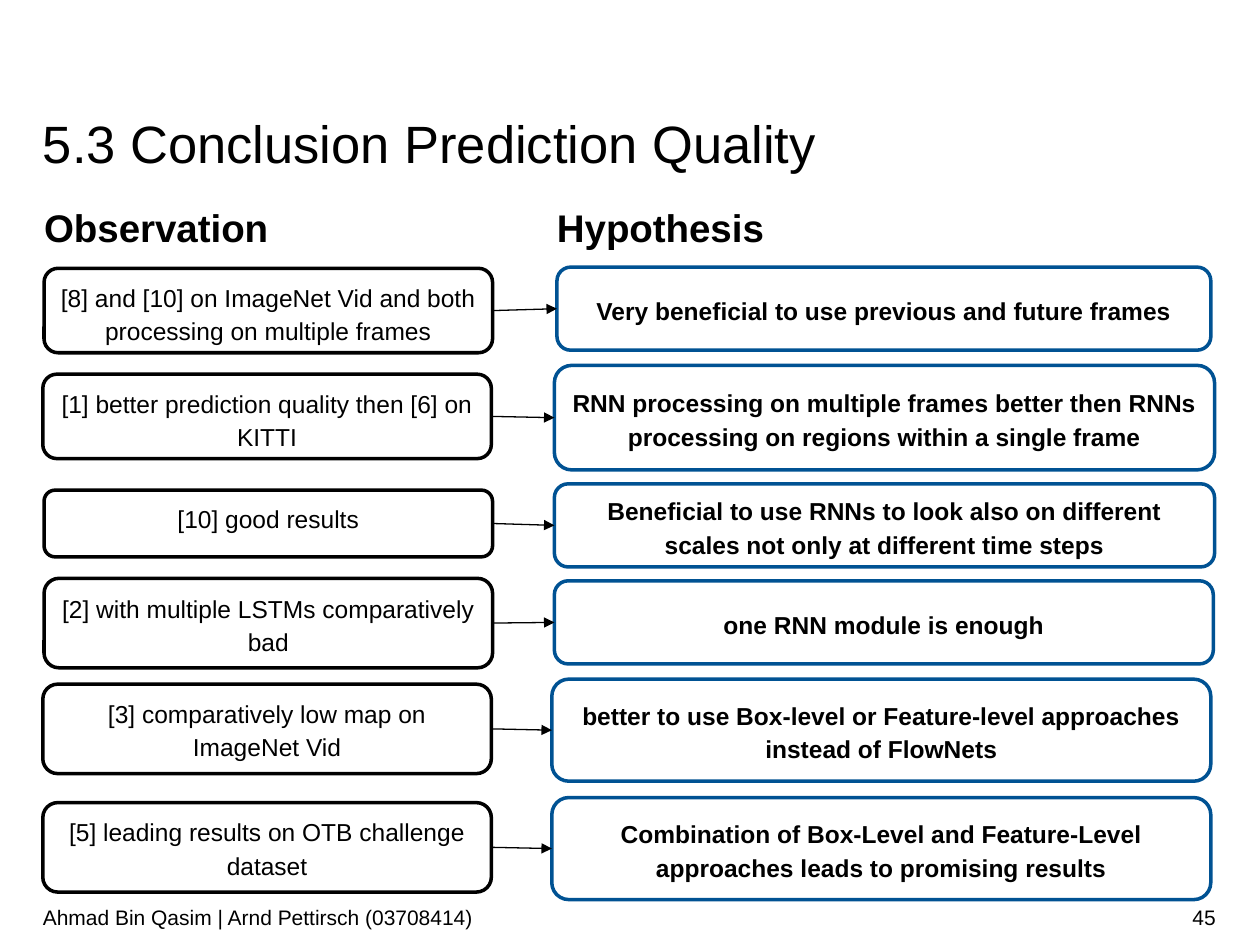
from lxml.etree import SubElement
from pptx import Presentation
from pptx.dml.color import RGBColor
from pptx.enum.shapes import MSO_CONNECTOR, MSO_SHAPE
from pptx.enum.text import MSO_ANCHOR, MSO_AUTO_SIZE, PP_ALIGN
from pptx.oxml.ns import qn
from pptx.util import Inches, Pt

COLORS = {"black": "000000", "white": "FFFFFF", "blue": "005293"}
LEFT, RIGHT = 1, 3  # connection sites of a rounded box


def color(name):
    """Return the named colour."""
    return RGBColor.from_string(COLORS[name])


class Deck:
    """Holds the style and the current slide."""
    font = "Arial"

    def __init__(self):
        """Start a deck with one title-only slide."""
        self.prs = Presentation()
        self.prs.slide_width, self.prs.slide_height = Inches(10), Inches(7.5)
        self.slide = self.prs.slides.add_slide(self.prs.slide_layouts[5])
        self.shapes = self.slide.shapes

    def put(self, shape, text, size, bold=False, align=PP_ALIGN.LEFT,
            anchor=MSO_ANCHOR.TOP, space=1.0, pad=(0, 0)):
        """Fill a shape with one styled paragraph."""
        frame = shape.text_frame
        frame.word_wrap = True
        frame.auto_size = MSO_AUTO_SIZE.NONE
        frame.vertical_anchor = anchor
        frame.margin_left = frame.margin_right = Inches(pad[0])
        frame.margin_top = frame.margin_bottom = Inches(pad[1])
        para = frame.paragraphs[0]
        para.alignment, para.line_spacing = align, space
        run = para.add_run()
        run.text = text
        run.font.name, run.font.size, run.font.bold = self.font, Pt(size), bold
        run.font.color.rgb = color("black")

    def title(self, text, x, y, w, h):
        """Place and fill the title."""
        shape = self.shapes.title
        shape.left, shape.top = Inches(x), Inches(y)
        shape.width, shape.height = Inches(w), Inches(h)
        self.put(shape, text, 30, space=1.07)

    def label(self, text, x, y, w, h, size, **style):
        """Add a plain text box."""
        shape = self.shapes.add_textbox(Inches(x), Inches(y), Inches(w), Inches(h))
        self.put(shape, text, size, **style)

    def box(self, text, x, y, w, h, line, **style):
        """Add a rounded box with centred text."""
        shape = self.shapes.add_shape(MSO_SHAPE.ROUNDED_RECTANGLE, Inches(x),
                                      Inches(y), Inches(w), Inches(h))
        shape.shadow.inherit = False
        shape.fill.solid()
        shape.fill.fore_color.rgb = color("white")
        shape.line.color.rgb = color(line)
        shape.line.width = Pt(2)
        self.put(shape, text, 14, align=PP_ALIGN.CENTER, space=1.14,
                 pad=(0.1, 0.05), **style)
        return shape

    def arrow(self, start, end):
        """Join two boxes with an arrow."""
        link = self.shapes.add_connector(MSO_CONNECTOR.STRAIGHT, 0, 0, 0, 0)
        link.begin_connect(start, RIGHT)
        link.end_connect(end, LEFT)
        link.line.color.rgb = color("black")
        link.line.width = Pt(0.75)
        props = link.element.spPr
        SubElement(props.find(qn("a:ln")), qn("a:tailEnd"), type="triangle")
        SubElement(props, qn("a:effectLst"))


# Each row: observation, its x, y, height; hypothesis, its x, y, width, height
ROWS = [
    ("[8] and [10] on ImageNet Vid and both processing on multiple frames",
     (0.35, 2.13, 0.67),
     "Very beneficial to use previous and future frames",
     (4.42, 2.12, 5.19, 0.66)),
    ("[1] better prediction quality then [6] on KITTI", (0.34, 2.97, 0.67),
     "RNN processing on multiple frames better then RNNs processing on "
     "regions within a single frame", (4.4, 2.9, 5.24, 0.83)),
    ("[10] good results", (0.35, 3.89, 0.53),
     "Beneficial to use RNNs to look also on different scales not only at "
     "different time steps", (4.4, 3.84, 5.24, 0.66)),
    ("[2] with multiple LSTMs comparatively bad", (0.35, 4.59, 0.71),
     "one RNN module is enough", (4.4, 4.61, 5.23, 0.66)),
    ("[3] comparatively low map on ImageNet Vid", (0.34, 5.43, 0.71),
     "better to use Box-level or Feature-level approaches instead of FlowNets",
     (4.38, 5.39, 5.23, 0.81)),
    ("[5] leading results on OTB challenge dataset", (0.34, 6.37, 0.71),
     "Combination of Box-Level and Feature-Level approaches leads to "
     "promising results", (4.38, 6.33, 5.23, 0.81)),
]


def main():
    """Build and save the slide."""
    deck = Deck()
    deck.title("5.3 Conclusion Prediction Quality", 0.34, 0.85, 9.31, 0.45)
    for text, x in (("Observation", 0.35), ("Hypothesis", 4.42)):
        deck.label(text, x, 1.57, 2.05, 0.39, 22, bold=True, space=1.14)
    for seen, (x, y, h), idea, place in ROWS:
        anchor = MSO_ANCHOR.MIDDLE if seen.startswith("[2]") else MSO_ANCHOR.TOP
        first = deck.box(seen, x, y, 3.56, h, "black", anchor=anchor)
        second = deck.box(idea, *place, "blue", bold=True,
                          anchor=MSO_ANCHOR.MIDDLE)
        deck.arrow(first, second)
    foot = {"anchor": MSO_ANCHOR.MIDDLE, "pad": (0, 0.05)}
    deck.label("Ahmad Bin Qasim | Arnd Pettirsch (03708414)",
               0.34, 7.08, 7.07, 0.4, 12, **foot)
    deck.label("45", 7.41, 7.08, 2.24, 0.4, 12, align=PP_ALIGN.RIGHT, **foot)
    deck.prs.save("out.pptx")


main()
